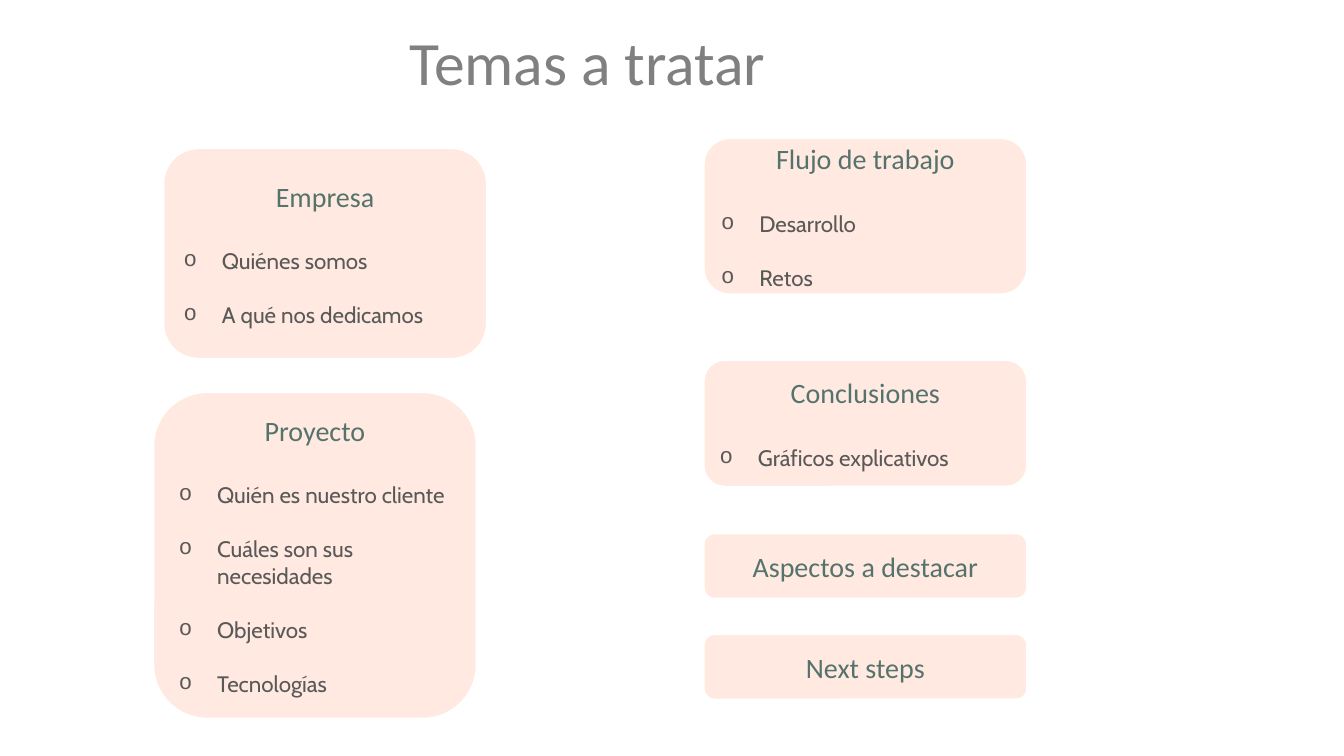
from pptx import Presentation, util as u
from pptx.dml.color import RGBColor
from pptx.enum import shapes, text
from pptx.oxml.ns import qn
from lxml import etree

CELL = u.Inches(0.1)
WIDE, GAP = 32.1, 38.2
LEFT, RIGHT = 16.2, 69.8
PEACH, GREEN, GREY, DARK, WHITE = "FFE9E0", "55736D", "808080", "595959", "FFFFFF"
PANELS = [
    (LEFT, 14.7, 20.9, "Empresa", ["Quiénes somos", "A qué nos dedicamos"]),
    (LEFT - 1, 38.9, 32.4, "Proyecto",
     ["Quién es nuestro cliente", "Cuáles son sus necesidades", "Objetivos", "Tecnologías"]),
    (RIGHT, 13.7, 15.5, "Flujo de trabajo", ["Desarrollo", "Retos"]),
    (RIGHT, 35.7, 12.6, "Conclusiones", ["Gráficos explicativos"]),
    (RIGHT, 52.9, 6.5, "Aspectos a destacar", []),
    (RIGHT, 62.9, 6.5, "Next steps", []),
]


def tint(code):
    """Turn a hex string into a colour."""
    return RGBColor.from_string(code)


def grid(*cells):
    """Turn grid columns and rows into slide lengths."""
    return [round(n * CELL) for n in cells]


def write(para, words, size=20, font="Calibri", color=GREEN, align="CENTER", before=0, lines=1.0):
    """Fill a paragraph with formatted words."""
    run = para.add_run()
    run.text = words
    run.font.size, run.font.name = u.Pt(size), font
    run.font.color.rgb = tint(color)
    para.alignment = getattr(text.PP_ALIGN, align)
    para.space_before, para.line_spacing = u.Pt(before), lines


def mark(para):
    """Give a paragraph a hanging round bullet."""
    props = para._p.get_or_add_pPr()
    hang = u.Inches(0.38)
    props.set("marL", str(hang))
    props.set("indent", str(-hang))
    etree.SubElement(props, qn("a:buFont"), typeface="Courier New")
    etree.SubElement(props, qn("a:buChar"), char="o")


def title(slide, box, words):
    """Place the slide title in a box."""
    frame = slide.shapes.add_textbox(*grid(*box)).text_frame
    frame.word_wrap = True
    frame.vertical_anchor = text.MSO_ANCHOR.MIDDLE
    write(frame.paragraphs[0], words, size=44, color=GREY, lines=0.9)


def panel(slide, box, head, items):
    """Place a rounded panel with a heading and bullets."""
    shape = slide.shapes.add_shape(shapes.MSO_SHAPE.ROUNDED_RECTANGLE, *grid(*box))
    shape.shadow.inherit = False
    shape.fill.solid()
    shape.fill.fore_color.rgb = tint(PEACH)
    shape.line.color.rgb = tint(WHITE)
    shape.line.width = u.Pt(1.5)
    frame = shape.text_frame
    frame.word_wrap = True
    frame.vertical_anchor = text.MSO_ANCHOR.MIDDLE
    write(frame.paragraphs[0], head)
    for i, item in enumerate(items):
        para = frame.add_paragraph()
        write(para, item, size=16, font="Cabin", color=DARK, align="LEFT",
              before=19.4 if i else 24.4)
        mark(para)


def main():
    """Build and save the agenda slide."""
    deck = Presentation()
    deck.slide_width, deck.slide_height = grid(133.33, 75)
    slide = deck.slides.add_slide(deck.slide_layouts[6])
    title(slide, (3.7, -0.8, 109.2, 14.5), "Temas a tratar")
    for col, row, rows, head, items in PANELS:
        panel(slide, (col, row, WIDE, rows), head, items)
    deck.save("out.pptx")


if __name__ == "__main__":
    main()
